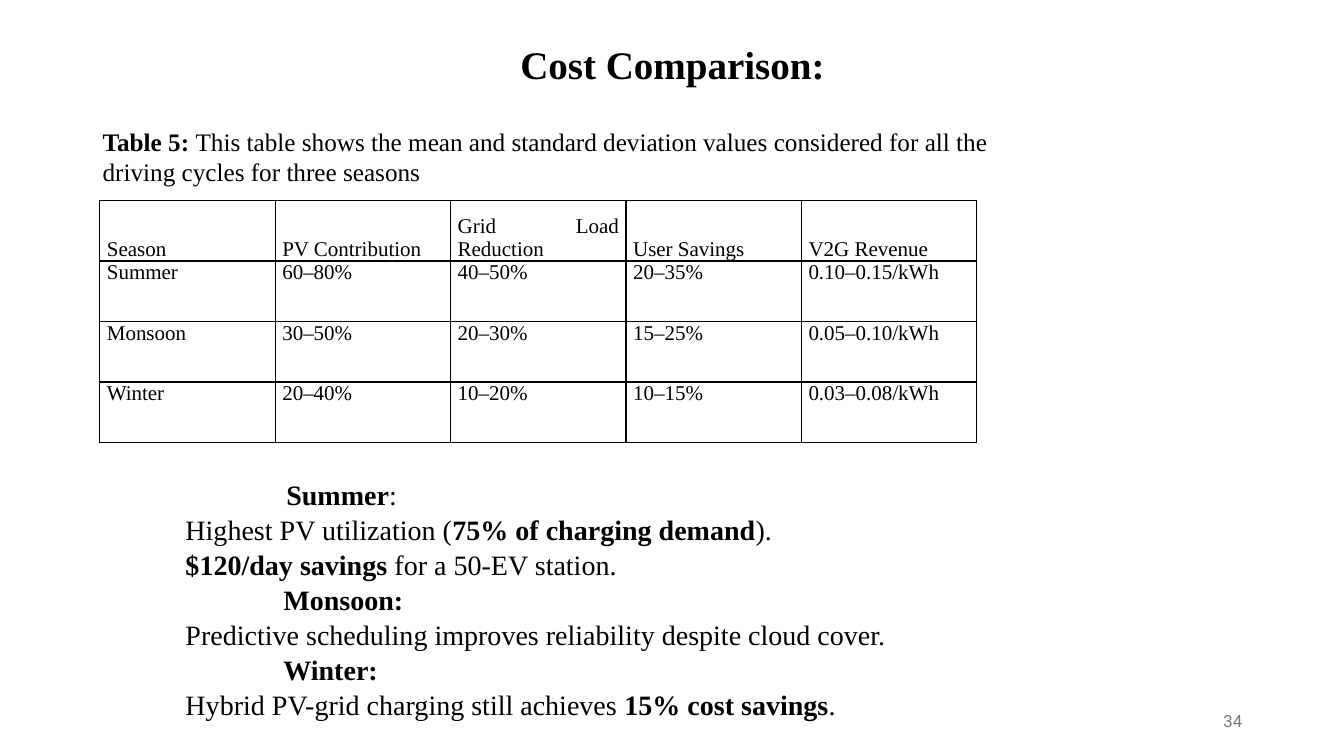
import pptx
import pptx.dml.color
import pptx.enum.text
import pptx.oxml
import pptx.oxml.ns
import pptx.util

RGBColor = pptx.dml.color.RGBColor
Align = pptx.enum.text.PP_ALIGN
Anchor = pptx.enum.text.MSO_ANCHOR
BLACK = RGBColor(0x00, 0x00, 0x00)
GREY = RGBColor(0x79, 0x79, 0x79)
SERIF = "Times New Roman"


def px(n):
    return pptx.util.Emu(n * 9144)


class Deck:
    """Holds the text style and the current slide, and draws each kind of element."""

    def __init__(self, width, height):
        self.prs = pptx.Presentation()
        self.prs.slide_width, self.prs.slide_height = px(width), px(height)
        self.s = self.prs.slides.add_slide(self.prs.slide_layouts[6])

    def run(self, p, text, size, bold=False, font=SERIF, color=BLACK):
        r = p.add_run()
        r.text = text
        r.font.name, r.font.size, r.font.bold = font, pptx.util.Pt(size), bold
        r.font.color.rgb = color

    def text(self, box, paragraphs, size, align=Align.LEFT, anchor=Anchor.TOP,
             insets=(10, 5, 10, 5), after=0, line=1.0, font=SERIF, color=BLACK):
        tf = self.s.shapes.add_textbox(*map(px, box)).text_frame
        tf.word_wrap = True
        tf.vertical_anchor = anchor
        (tf.margin_left, tf.margin_top,
         tf.margin_right, tf.margin_bottom) = map(px, insets)
        for i, (indent, runs) in enumerate(paragraphs):
            p = tf.add_paragraph() if i else tf.paragraphs[0]
            p.alignment, p.line_spacing = align, line
            p.space_after = pptx.util.Pt(after)
            if indent:
                p._p.get_or_add_pPr().set("marL", str(px(indent)))
            for words, bold in runs:
                self.run(p, words, size, bold, font, color)

    def border(self, cell):
        tcPr = cell._tc.get_or_add_tcPr()
        for i, side in enumerate(("lnL", "lnR", "lnT", "lnB")):
            tcPr.insert(i, pptx.oxml.parse_xml(
                f'<a:{side} {pptx.oxml.ns.nsdecls("a")} w="12700"><a:solidFill>'
                f'<a:srgbClr val="{BLACK}"/></a:solidFill></a:{side}>'))

    def table(self, left, top, col_width, row_height, rows, size):
        n, m = len(rows), len(rows[0])
        table = self.s.shapes.add_table(n, m, px(left), px(top), px(col_width * m),
                                        px(row_height * n)).table
        table.first_row = table.horz_banding = False
        for column in table.columns:
            column.width = px(col_width)
        for i, row in enumerate(rows):
            table.rows[i].height = px(row_height)
            for j, words in enumerate(row):
                cell = table.cell(i, j)
                cell.fill.background()
                cell.margin_left = cell.margin_right = px(7)
                cell.margin_top = cell.margin_bottom = 0
                cell.vertical_anchor = Anchor.TOP if i else Anchor.BOTTOM
                p = cell.text_frame.paragraphs[0]
                p.alignment = Align.JUSTIFY
                self.run(p, words, size)
                self.border(cell)


def main():
    deck = Deck(1333, 750)
    deck.text((92, 40, 1150, 145), [(0, [("Cost Comparison:", True)])], 27.9,
              align=Align.CENTER, line=0.9)
    deck.text((99, 463, 880, 252), [
        (100, [("Summer", True), (":", False)]),
        (0, [("Highest PV utilization (", False), ("75% of charging demand", True),
             (").", False)]),
        (0, [("$120/day savings", True), (" for a 50-EV station.", False)]),
        (97, [("Monsoon:", True)]),
        (0, [("Predictive scheduling improves reliability despite cloud cover.", False)]),
        (97, [("Winter:", True)]),
        (0, [("Hybrid PV-grid charging still achieves ", False),
             ("15% cost savings", True), (".", False)]),
    ], 20, align=Align.JUSTIFY, insets=(85, 11, 10, 6), after=1)
    deck.table(99, 199, 174, 60, [
        ("Season", "PV Contribution", "Grid Load Reduction", "User Savings", "V2G Revenue"),
        ("Summer", "60–80%", "40–50%", "20–35%", "0.10–0.15/kWh"),
        ("Monsoon", "30–50%", "20–30%", "15–25%", "0.05–0.10/kWh"),
        ("Winter", "20–40%", "10–20%", "10–15%", "0.03–0.08/kWh"),
    ], 15)
    deck.text((942, 695, 300, 40), [(0, [("34", False)])], 12, align=Align.RIGHT,
              anchor=Anchor.MIDDLE, font="Roboto", color=GREY)
    deck.text((92, 120, 923, 71), [(0, [
        ("Table 5: ", True),
        ("This table shows the mean and standard deviation values considered "
         "for all the driving cycles for three seasons", False)])], 18)
    deck.prs.save("out.pptx")


if __name__ == "__main__":
    main()
